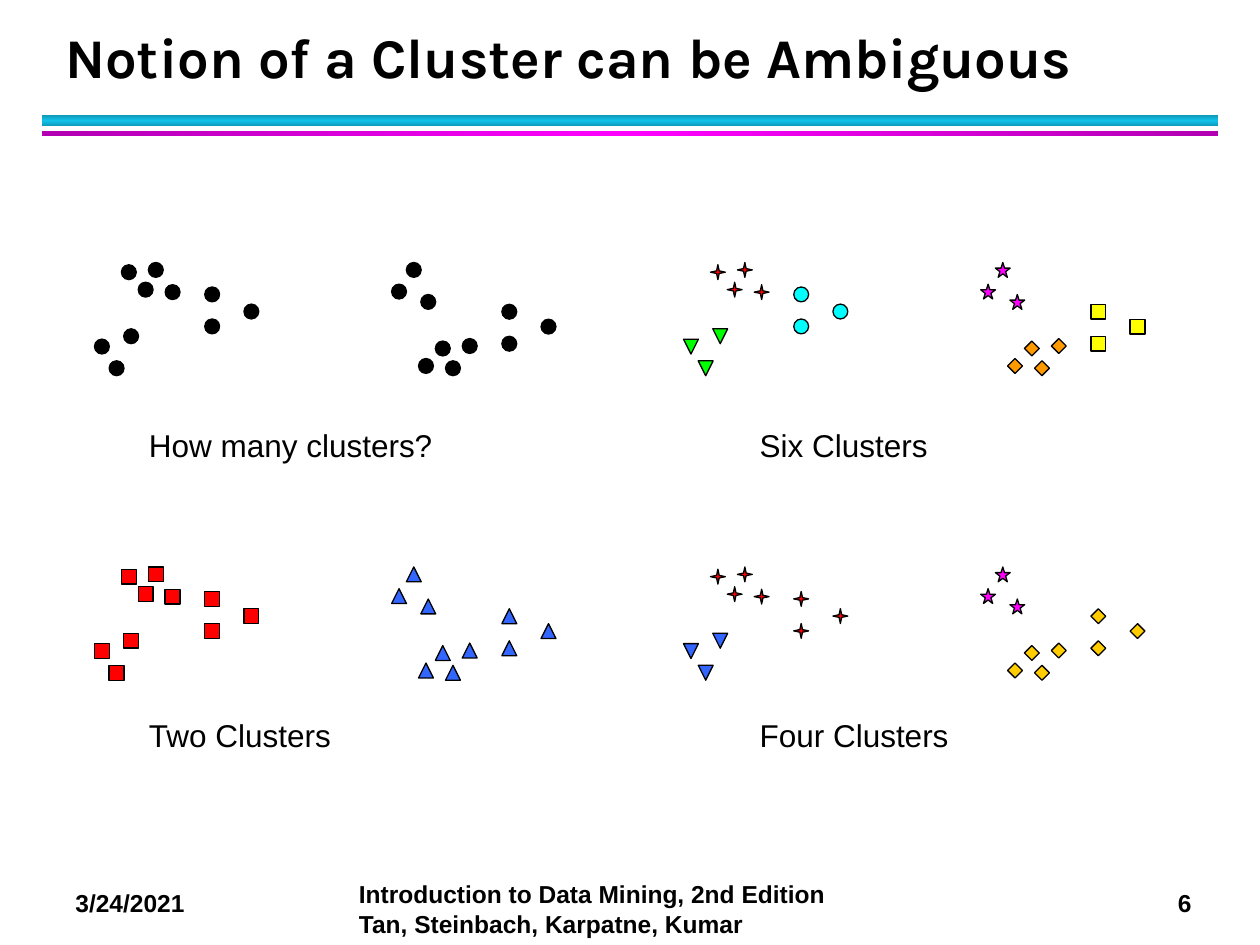
import copy
from dataclasses import dataclass

import pptx
import pptx.dml.color
import pptx.enum.shapes
import pptx.enum.text
import pptx.oxml.ns
import pptx.util

Pt = pptx.util.Pt
Shape = pptx.enum.shapes.MSO_SHAPE
MARKER_SIZE = 8.5
MIRROR_SHIFT = 169.8  # right half of a panel against its left half
MIRROR_HEIGHT = 56.2  # the right half is upside down

# Point groups of the left half, as offsets from the panel's corner
QUAD = [(40.4, 12.7), (15.4, 1.3), (30.8, 0), (25, 11.3)]
TRIO = [(16.7, 37.9), (0, 43.8), (8.4, 56.2)]
WING = [(63, 14), (85.4, 23.8), (63, 32.3)]
GROUPS = [QUAD, TRIO, WING]


@dataclass
class Marker:
    kind: int
    color: str
    rotation: int = 0


@dataclass
class Panel:
    caption: str
    left: float
    top: float
    caption_left: float
    caption_top: float
    left_markers: list[Marker]  # for quad, trio and wing
    right_markers: list[Marker]


@dataclass
class Label:
    text: str
    left: float
    top: float
    width: float
    height: float
    size: float
    bold: bool = False
    wrap: bool = True


@dataclass
class Rule:
    top: float
    height: float
    edge: str
    middle: str
    angle: int


DOT = Marker(Shape.OVAL, "000000")
RED_SQUARE = Marker(Shape.RECTANGLE, "FF0000")
BLUE_TRIANGLE = Marker(Shape.ISOSCELES_TRIANGLE, "3366FF")
RED_STAR = Marker(Shape.STAR_4_POINT, "FF0000")
PINK_STAR = Marker(Shape.STAR_5_POINT, "FF00FF")
GREEN_TRIANGLE = Marker(Shape.ISOSCELES_TRIANGLE, "00FF00", 180)
BLUE_EXTRACT = Marker(Shape.FLOWCHART_EXTRACT, "3366FF", 180)
CYAN_DOT = Marker(Shape.OVAL, "00FFFF")
ORANGE_DIAMOND = Marker(Shape.DIAMOND, "FF9900")
GOLD_DIAMOND = Marker(Shape.DIAMOND, "FFCC00")
YELLOW_SQUARE = Marker(Shape.RECTANGLE, "FFFF00")

PANELS = [
    Panel("How many clusters?", 54, 150, 78, 240, [DOT] * 3, [DOT] * 3),
    Panel("Four Clusters", 390.6, 324, 427, 405.5,
          [RED_STAR, BLUE_EXTRACT, RED_STAR],
          [GOLD_DIAMOND, PINK_STAR, GOLD_DIAMOND]),
    Panel("Two Clusters", 54, 324, 78, 405.5,
          [RED_SQUARE] * 3, [BLUE_TRIANGLE] * 3),
    Panel("Six Clusters", 390.6, 150, 427, 240,
          [RED_STAR, GREEN_TRIANGLE, CYAN_DOT],
          [ORANGE_DIAMOND, PINK_STAR, YELLOW_SQUARE]),
]
RULES = [
    Rule(66, 6, "0E9BBA", "12C2E9", 90),
    Rule(75, 3, "B200B2", "FF00FF", 0),
]
FOOTERS = [
    Label("3/24/2021", 36, 504, 96, 24.5, 14, True),
    Label("6", 666, 504, 32, 24.5, 14, True, False),
    Label("Introduction to Data Mining, 2nd Edition\vTan, Steinbach, Karpatne, Kumar",
          198, 499, 294, 41, 14, True),
]


def rgb(color: str) -> pptx.dml.color.RGBColor:
    return pptx.dml.color.RGBColor.from_string(color)


def add_label(shapes, label: Label) -> None:
    box = shapes.add_textbox(Pt(label.left), Pt(label.top), Pt(label.width), Pt(label.height))
    frame = box.text_frame
    frame.word_wrap = label.wrap
    paragraph = frame.paragraphs[0]
    paragraph.text = label.text
    paragraph.font.name = "Arial"
    paragraph.font.size = Pt(label.size)
    paragraph.font.bold = label.bold
    paragraph.font.color.rgb = rgb("000000")


def add_marker(shapes, marker: Marker, left: float, top: float) -> None:
    shape = shapes.add_shape(marker.kind, Pt(left), Pt(top), Pt(MARKER_SIZE), Pt(MARKER_SIZE))
    shape.shadow.inherit = False
    shape.rotation = marker.rotation
    if marker.kind == Shape.STAR_4_POINT:
        shape.adjustments[0] = 0.125
    shape.fill.solid()
    shape.fill.fore_color.rgb = rgb(marker.color)
    shape.line.color.rgb = rgb("000000")
    shape.line.width = Pt(0.75)


def add_panel(slide, panel: Panel) -> None:
    shapes = slide.shapes.add_group_shape().shapes
    for points, marker in zip(GROUPS, panel.right_markers):
        for x, y in points:
            add_marker(shapes, marker, panel.left + MIRROR_SHIFT + x,
                       panel.top + MIRROR_HEIGHT - y)
    for points, marker in zip(GROUPS, panel.left_markers):
        for x, y in points:
            add_marker(shapes, marker, panel.left + x, panel.top + y)
    add_label(shapes, Label(panel.caption, panel.caption_left, panel.caption_top, 180, 29, 18))


def add_rule(slide, rule: Rule) -> None:
    shape = slide.shapes.add_shape(Shape.RECTANGLE, Pt(24), Pt(rule.top), Pt(672), Pt(rule.height))
    shape.shadow.inherit = False
    shape.line.fill.background()
    shape.fill.gradient()
    shape.fill.gradient_angle = rule.angle
    first, second = shape.fill.gradient_stops
    first.color.rgb, second.color.rgb = rgb(rule.edge), rgb(rule.middle)
    first.position, second.position = 0, 0.5
    # The closing stop repeats the edge colour
    stops = shape._element.spPr.find(".//" + pptx.oxml.ns.qn("a:gsLst"))
    last = copy.deepcopy(stops[0])
    last.set("pos", "100000")
    stops.append(last)


def set_title(slide, text: str) -> None:
    title = slide.shapes.title
    title.left, title.top, title.width, title.height = Pt(30), Pt(12), Pt(652), Pt(43)
    frame = title.text_frame
    frame.vertical_anchor = pptx.enum.text.MSO_ANCHOR.BOTTOM
    frame.auto_size = pptx.enum.text.MSO_AUTO_SIZE.NONE
    paragraph = frame.paragraphs[0]
    paragraph.text = text
    paragraph.alignment = pptx.enum.text.PP_ALIGN.LEFT
    paragraph.line_spacing = Pt(36)
    paragraph.font.name = "Karla"
    paragraph.font.size = Pt(32)
    paragraph.font.bold = True
    paragraph.font.color.rgb = rgb("000000")


def main() -> None:
    presentation = pptx.Presentation()
    presentation.slide_width, presentation.slide_height = Pt(720), Pt(540)
    slide = presentation.slides.add_slide(presentation.slide_layouts[5])

    # Heading and footer
    set_title(slide, "Notion of a Cluster can be Ambiguous")
    for rule in RULES:
        add_rule(slide, rule)
    for label in FOOTERS:
        add_label(slide.shapes, label)

    # Four views of the same points
    for panel in PANELS:
        add_panel(slide, panel)

    presentation.save("out.pptx")


if __name__ == "__main__":
    main()
